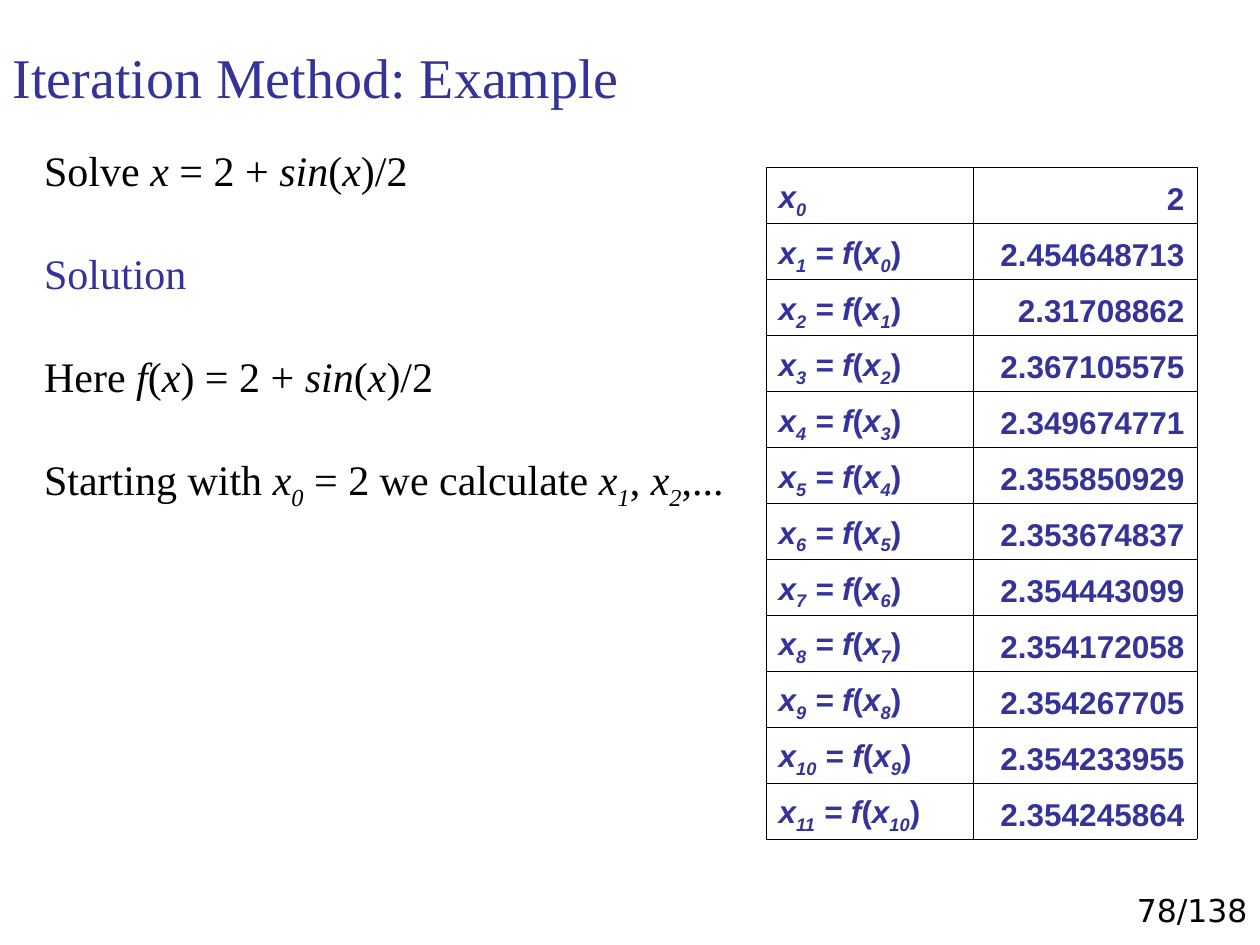
from dataclasses import dataclass

import pptx
import pptx.dml.color
import pptx.enum.text
import pptx.oxml
import pptx.oxml.ns
import pptx.util
from pptx.util import Inches

RGBColor = pptx.dml.color.RGBColor
INDIGO = RGBColor(0x33, 0x33, 0x99)
BLACK = RGBColor(0, 0, 0)
ALIGN = pptx.enum.text.PP_ALIGN
ANCHOR = pptx.enum.text.MSO_ANCHOR
SERIF = "Times New Roman"


@dataclass
class Line:
    text: str
    color: RGBColor = BLACK


@dataclass
class Iterate:
    index: int
    value: str

    @property
    def label(self) -> str:
        if self.index == 0:
            return "*x_0_*"
        return f"*x_{self.index}_ = f*(*x_{self.index - 1}_*)"


LINES = [
    Line("Solve *x* = 2 + *sin*(*x*)/2"),
    Line("Solution", INDIGO),
    Line("Here *f*(*x*) = 2 + *sin*(*x*)/2"),
    Line("Starting with *x_0_* = 2 we calculate *x_1_*, *x_2_*,..."),
]
VALUES = [
    "2", "2.454648713", "2.31708862", "2.367105575", "2.349674771", "2.355850929",
    "2.353674837", "2.354443099", "2.354172058", "2.354267705", "2.354233955", "2.354245864",
]
ITERATES = [Iterate(i, value) for i, value in enumerate(VALUES)]


def write(p, text: str, *, size: float, font: str = SERIF, color: RGBColor = BLACK,
          bold: bool = False, align=ALIGN.LEFT, before: float = 0, spacing: float = 1.0) -> None:
    p.alignment = align
    p.line_spacing = spacing
    p.space_before = pptx.util.Pt(before)
    for i, phrase in enumerate(text.split("*")):
        for j, part in enumerate(phrase.split("_")):
            if not part:
                continue
            r = p.add_run()
            r.text = part
            r.font.name = font
            r.font.size = pptx.util.Pt(size)
            r.font.bold = bold
            r.font.italic = i % 2 == 1
            r.font.color.rgb = color
            if j % 2 == 1:
                r.font._element.set("baseline", "-25000")


def place(sp, left: float, top: float, width: float, height: float, anchor=ANCHOR.TOP):
    sp.left, sp.top = Inches(left), Inches(top)
    sp.width, sp.height = Inches(width), Inches(height)
    tf = sp.text_frame
    tf.word_wrap = True
    tf.auto_size = pptx.enum.text.MSO_AUTO_SIZE.NONE
    tf.vertical_anchor = anchor
    return tf


def remove_bullet(p) -> None:
    pPr = p._p.get_or_add_pPr()
    pPr.set("marL", "0")
    pPr.set("indent", "0")
    pPr.append(pptx.oxml.parse_xml(f'<a:buNone {pptx.oxml.ns.nsdecls("a")}/>'))


def format_cell(cell, text: str, align) -> None:
    tcPr = cell._tc.get_or_add_tcPr()
    for side in ("lnL", "lnR", "lnT", "lnB"):
        tcPr.append(pptx.oxml.parse_xml(
            f'<a:{side} {pptx.oxml.ns.nsdecls("a")} w="{pptx.util.Pt(0.23)}">'
            f'<a:solidFill><a:srgbClr val="{BLACK}"/></a:solidFill></a:{side}>'))
    cell.fill.background()
    cell.vertical_anchor = ANCHOR.BOTTOM
    write(cell.text_frame.paragraphs[0], text, size=18, font="Arial", color=INDIGO,
          bold=True, align=align, spacing=0.93)


def add_iterates(s, iterates: list[Iterate]) -> None:
    frame = s.shapes.add_table(len(iterates), 2, Inches(6.08), Inches(1.33), Inches(3.42), Inches(5.33))
    table = frame.table
    table.first_row = table.horz_banding = False
    table.columns[0].width = Inches(1.64)
    table.columns[1].width = Inches(1.78)
    for row, iterate in enumerate(iterates):
        format_cell(table.cell(row, 0), iterate.label, ALIGN.LEFT)
        format_cell(table.cell(row, 1), iterate.value, ALIGN.RIGHT)


def main() -> None:
    prs = pptx.Presentation()
    prs.slide_width, prs.slide_height = Inches(10), Inches(7.5)
    s = prs.slides.add_slide(prs.slide_layouts[1])

    tf = place(s.shapes.title, 0, 0.25, 8.64, 0.67, ANCHOR.BOTTOM)
    write(tf.paragraphs[0], "Iteration Method: Example", size=32, color=INDIGO)

    tf = place(s.placeholders[1], 0.25, 1.1, 5.83, 2.96)
    for i, line in enumerate(LINES):
        p = tf.paragraphs[0] if i == 0 else tf.add_paragraph()
        remove_bullet(p)
        write(p, line.text, size=24, color=line.color, before=30 if i else 0)

    add_iterates(s, ITERATES)

    sp = s.shapes.add_textbox(0, 0, 0, 0)
    tf = place(sp, 8.42, 7.02, 1.58, 0.4)
    write(tf.paragraphs[0], "78/138", size=18, font="DejaVu Sans", align=ALIGN.RIGHT)

    prs.save("out.pptx")


if __name__ == "__main__":
    main()
